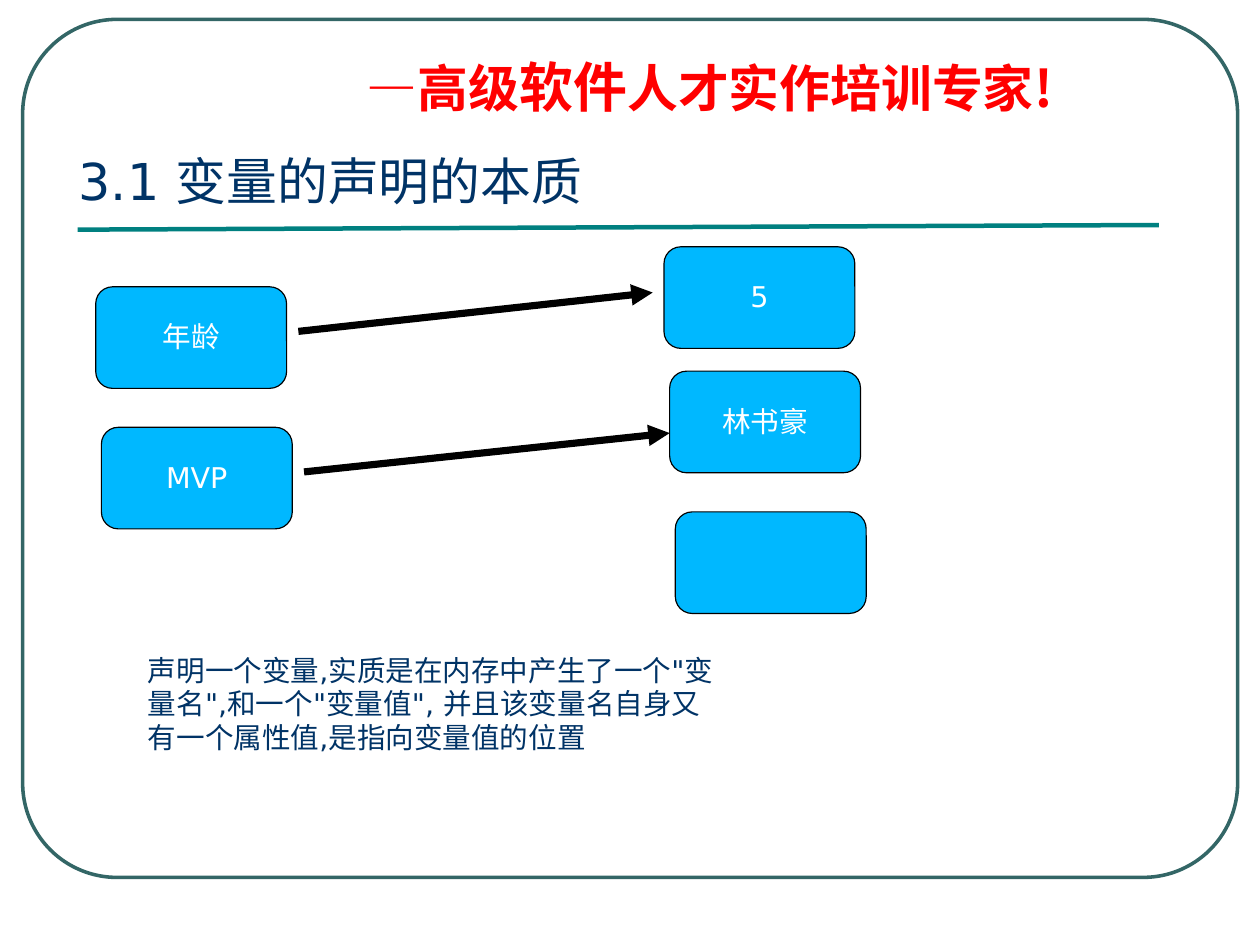
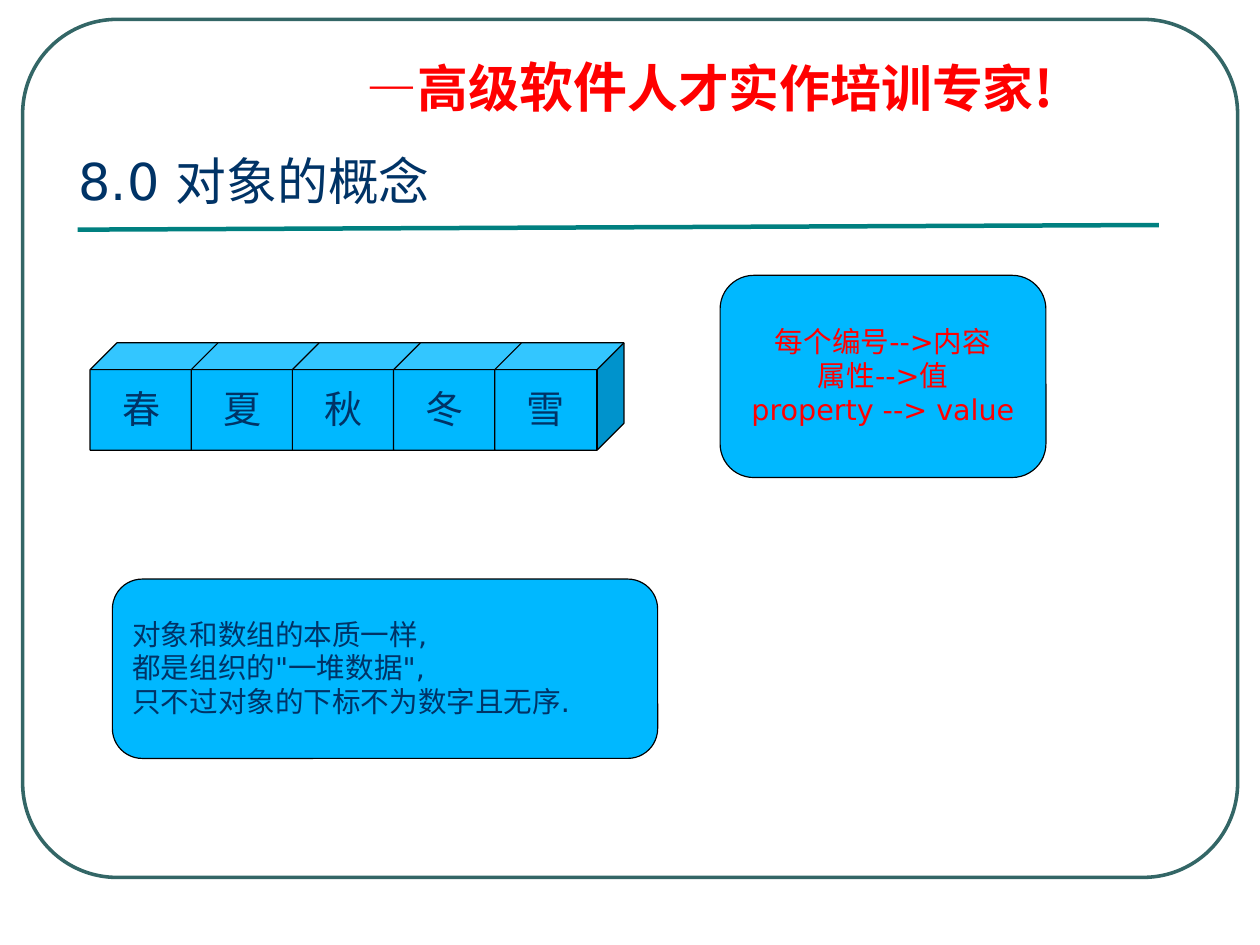
from lxml import etree
from pptx import Presentation
from pptx.dml.color import RGBColor
from pptx.enum.shapes import MSO_CONNECTOR, MSO_SHAPE
from pptx.enum.text import MSO_ANCHOR, PP_ALIGN
from pptx.oxml.ns import qn
from pptx.util import Cm, Pt

ROUND, CUBE = MSO_SHAPE.ROUNDED_RECTANGLE, MSO_SHAPE.CUBE
STRAIGHT = MSO_CONNECTOR.STRAIGHT
TOP, MIDDLE = MSO_ANCHOR.TOP, MSO_ANCHOR.MIDDLE
LEFT, CENTER = PP_ALIGN.LEFT, PP_ALIGN.CENTER

COLORS = {
    "frame": "336666", "rule": "008080", "navy": "003366", "red": "FF0000",
    "sky": "00B8FF", "black": "000000", "white": "FFFFFF",
}
LATIN, CHINESE = "DejaVu Sans", "Noto Sans CJK SC"

deck = Presentation()
deck.slide_width = Cm(28)
deck.slide_height = Cm(21)
# The grid has 100 columns and 100 rows.
COLUMN, ROW = deck.slide_width / 100, deck.slide_height / 100


def add_box(shapes, area, text="", color="navy", size=18, kind=None, fill="sky",
            line="black", weight=0.75, corner=None, anchor=MIDDLE, align=LEFT,
            spacing=0.98, font=LATIN, bold=False):
    """Add a shape, or a text box if kind is None; "|" splits a line into spans."""
    place = [round(value * unit) for value, unit in zip(area, (COLUMN, ROW) * 2)]
    if kind is None:
        box = shapes.add_textbox(*place)
    else:
        box = shapes.add_shape(kind, *place)
        box.shadow.inherit = False
        box.line.color.rgb = RGBColor.from_string(COLORS[line])
        box.line.width = Pt(weight)
        if fill:
            box.fill.solid()
            box.fill.fore_color.rgb = RGBColor.from_string(COLORS[fill])
        else:
            box.fill.background()
        if corner:
            box.adjustments[0] = corner
    frame = box.text_frame
    frame.word_wrap, frame.vertical_anchor = True, anchor
    for number, words in enumerate(text.splitlines()):
        para = frame.add_paragraph() if number else frame.paragraphs[0]
        para.alignment, para.line_spacing = align, spacing
        for part in words.split("|"):
            span = para.add_run()
            span.text = part
            for name, value in {"name": font, "size": Pt(size), "bold": bold}.items():
                setattr(span.font, name, value)
            span.font.color.rgb = RGBColor.from_string(COLORS[color])
            etree.SubElement(span.font._element, qn("a:ea"), typeface=CHINESE)
    return box


def add_line(shapes, ends, color, weight, arrow=False):
    place = [round(value * unit) for value, unit in zip(ends, (COLUMN, ROW) * 2)]
    link = shapes.add_connector(STRAIGHT, *place)
    link.line.color.rgb = RGBColor.from_string(COLORS[color])
    link.line.width = Pt(weight)
    if arrow:
        etree.SubElement(link.line._get_or_add_ln(), qn("a:tailEnd"), type="triangle")
    etree.SubElement(link._element.spPr, qn("a:effectLst"))


# Parts that both slides share
pages = []
for title in ("3.1 变量的声明的本质", "8.0 对象的概念"):
    page = deck.slides.add_slide(deck.slide_layouts[6])
    banner = add_box(page.shapes, (28.22, 5.8, 62.5, 7.38), "—高级|软件|人才实作培训专家!",
                     "red", 32, anchor=TOP, spacing=0.9, font=CHINESE, bold=True)
    banner.text_frame.paragraphs[0].runs[1].font.size = Pt(34)
    add_box(page.shapes, (1.8, 2.05, 96.43, 90.8), kind=ROUND, fill=None,
            line="frame", weight=2.25, corner=0.11)
    add_line(page.shapes, (6.17, 24.3, 91.98, 23.81), "rule", 2.83)
    add_box(page.shapes, (5.35, 14.87, 70.58, 8.95), title, size=32)
    pages.append(page.shapes)
variables, objects = pages

# Variable names point to their values
for left, top, text in (
    (7.6, 30.35, "年龄"),
    (52.7, 26.12, "5"),
    (53.15, 39.28, "林书豪"),
    (53.6, 54.17, ""),
    (8.05, 45.22, "MVP"),
):
    add_box(variables, (left, top, 15.15, 10.75), text, "white", kind=ROUND, align=CENTER)
for ends in ((23.68, 35.07, 51.8, 30.96), (24.13, 49.94, 53.15, 45.83)):
    add_line(variables, ends, "black", 4.5, arrow=True)
add_box(variables, (10.85, 68.65, 47.18, 11.97),
        '声明一个变量,实质是在内存中产生了一个"变量名",和一个"变量值", '
        "并且该变量名自身又有一个属性值,是指向变量值的位置", anchor=TOP)

# A row of cubes, each overlapping the one before
cubes = objects.add_group_shape().shapes
for number, season in enumerate("春夏秋冬雪"):
    add_box(cubes, (7.15 + number * 8.03, 36.28, 10.25, 11.36), season, size=24,
            kind=CUBE, align=CENTER)
add_box(objects, (57.15, 29.14, 25.86, 21.4),
        "每个编号-->内容\n属性-->值\nproperty --> value", "red", kind=ROUND, align=CENTER)
add_box(objects, (8.92, 61.28, 43.28, 18.98),
        '对象和数组的本质一样,\n都是组织的"一堆数据",\n只不过对象的下标不为数字且无序.', kind=ROUND)

deck.save("out.pptx")
